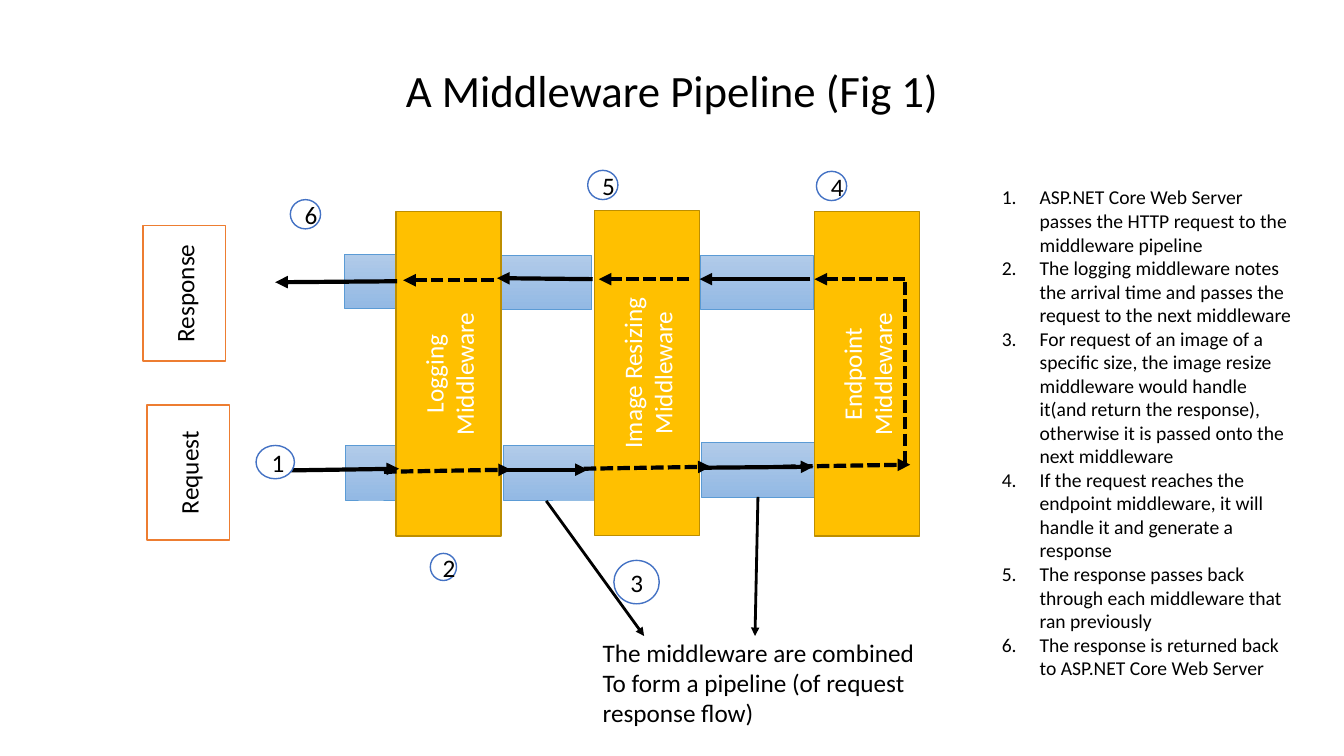
"""Builds a slide showing a middleware pipeline with its request and response flow."""
from lxml import etree
from pptx import Presentation
from pptx import util as u
from pptx.dml import color
from pptx.enum import dml, shapes, text
from pptx.oxml import ns

TITLE = "A Middleware Pipeline (Fig 1)"
CAPTION = ["The middleware are combined", "To form a pipeline (of request response flow)"]
STEPS = [
    "ASP.NET Core Web Server passes the HTTP request to the middleware pipeline",
    "The logging middleware notes the arrival time and passes the request to the next middleware",
    "For request of an image of a specific size, the image resize middleware would handle "
    "it(and return the response), otherwise it is passed onto the next middleware",
    "If the request reaches the endpoint middleware, it will handle it and generate a response",
    "The response passes back through each middleware that ran previously",
    "The response is returned back to ASP.NET Core Web Server",
]
BARS = [("Logging", 320.4, 267.1), ("Image Resizing", 462.2, 266.4), ("Endpoint", 619.2, 267.1)]
BAR_LENGTH, BAR_DEPTH = 231.8, 74.9
PIPE_HEIGHT = 39
PIPES = [(359.3, 318.2, 140.4), (247, 318.2, 36), (246.2, 181.4, 36),
         (357.8, 182.2, 64.8), (500.4, 182.2, 80.6), (501.1, 316.1, 80.6)]
NUMBERS = {
    "1": (182.9, 318.2, 27.4, 23.8), "2": (307.4, 395.3, 18.7, 19.4),
    "3": (438.5, 400.3, 32.4, 31), "4": (583.2, 122.4, 21.6, 20.9),
    "5": (419.8, 121.7, 21.6, 20.9), "6": (207.4, 142.6, 21.6, 20.9),
}
ENDS = {"Request": (105.1, 289.4), "Response": (102.2, 161.3)}
FLOWS = [(194.4, 336.2, 285.1, 334.8), (359.3, 335.5, 419.8, 335.5),
         (501.8, 334.1, 581, 333.4), (578.9, 199.4, 499.7, 199.4),
         (423.4, 199.4, 355, 198.7), (283.7, 200.9, 196.6, 201.6)]
INNER_FLOWS = [(274.3, 337, 365, 335.5), (416.9, 334.8, 507.6, 333.4),
               (559.4, 333.4, 650.2, 331.9), (646.6, 199.4, 581.8, 199.4),
               (492.5, 199.4, 427.7, 199.4), (352.8, 200.2, 288, 200.2)]
TURN = (646.6, 201.6, 646.6, 331.2)
CALLOUTS = [(390.2, 357.8, 460.1, 454.3), (541.4, 355, 539.3, 454.3)]

prs = Presentation()
prs.slide_width, prs.slide_height = u.Pt(960), u.Pt(540)
s = prs.slides.add_slide(prs.slide_layouts[6])


def rgb(value):
    return color.RGBColor.from_string(value)


def write(sp, lines, size=18, ink="000000", align=text.PP_ALIGN.CENTER,
          anchor=text.MSO_ANCHOR.MIDDLE, spacing=None, numbered=False):
    tf = sp.text_frame
    tf.word_wrap = True
    tf.vertical_anchor = anchor
    for i, line in enumerate(lines):
        p = tf.paragraphs[0] if i == 0 else tf.add_paragraph()
        p.alignment = align
        if spacing:
            p.line_spacing = spacing
        if numbered:
            pr = p._p.get_or_add_pPr()
            pr.set("marL", str(u.Pt(27)))
            pr.set("indent", str(-u.Pt(27)))
            etree.SubElement(pr, ns.qn("a:buFont"), typeface="+mj-lt")
            etree.SubElement(pr, ns.qn("a:buAutoNum"), type="arabicPeriod")
        r = p.add_run()
        r.text = line
        r.font.name, r.font.size = "Calibri", u.Pt(size)
        r.font.color.rgb = rgb(ink)


def add_text(box, lines, **fmt):
    write(s.shapes.add_textbox(*map(u.Pt, box)), lines, **fmt)


def add_shape(box, line, fill=None, width=1, kind=shapes.MSO_SHAPE.RECTANGLE):
    sp = s.shapes.add_shape(kind, *map(u.Pt, box))
    sp.shadow.inherit = False
    if fill:
        sp.fill.solid()
        sp.fill.fore_color.rgb = rgb(fill)
    sp.line.color.rgb = rgb(line)
    sp.line.width = u.Pt(width)
    return sp


def add_line(ends, width=3, dashed=False, arrow=True):
    sp = s.shapes.add_connector(shapes.MSO_CONNECTOR.STRAIGHT, *map(u.Pt, ends))
    sp.line.color.rgb = rgb("000000")
    sp.line.width = u.Pt(width)
    if dashed:
        sp.line.dash_style = dml.MSO_LINE.SQUARE_DOT
    if arrow:
        etree.SubElement(sp.line._get_or_add_ln(), ns.qn("a:tailEnd"), type="triangle")
    etree.SubElement(sp._element.spPr, ns.qn("a:effectLst"))


for x, y, w in PIPES:
    sp = add_shape((x, y, w, PIPE_HEIGHT), "5B9BD5", width=0.5)
    sp.fill.gradient()
    sp.fill.gradient_angle = 270
    for stop, shade in zip(sp.fill.gradient_stops, ("B1CBE9", "93B9E4")):
        stop.color.rgb = rgb(shade)

add_text((66.2, 14.4, 828, 104.4), [TITLE], size=32, spacing=0.9)

for name, x, y in BARS:
    sp = add_shape((x - BAR_LENGTH / 2, y - BAR_DEPTH / 2, BAR_LENGTH, BAR_DEPTH),
                   "BD8E00", "FFC000")
    sp.rotation = 270
    write(sp, [name, "Middleware"], ink="FFFFFF")

for ends in FLOWS:
    add_line(ends)

for number, box in NUMBERS.items():
    write(add_shape(box, "4472C4", "FFFFFF", kind=shapes.MSO_SHAPE.OVAL), [number])

left_top = {"align": text.PP_ALIGN.LEFT, "anchor": text.MSO_ANCHOR.TOP}
add_text((423.4, 451.4, 268.6, 72.7), CAPTION, **left_top)
add_text((708.5, 128.9, 223.9, 414.7), STEPS, size=14, numbered=True, **left_top)

for ends in INNER_FLOWS:
    add_line(ends, dashed=True)
add_line(TURN, dashed=True, arrow=False)
for ends in CALLOUTS:
    add_line(ends, width=2)

for name, (x, y) in ENDS.items():
    sp = add_shape((x, y, 59, 96.5), "ED7D31", "FFFFFF")
    write(sp, [name])
    sp.text_frame._txBody.bodyPr.set("vert", "vert270")

prs.save("out.pptx")
